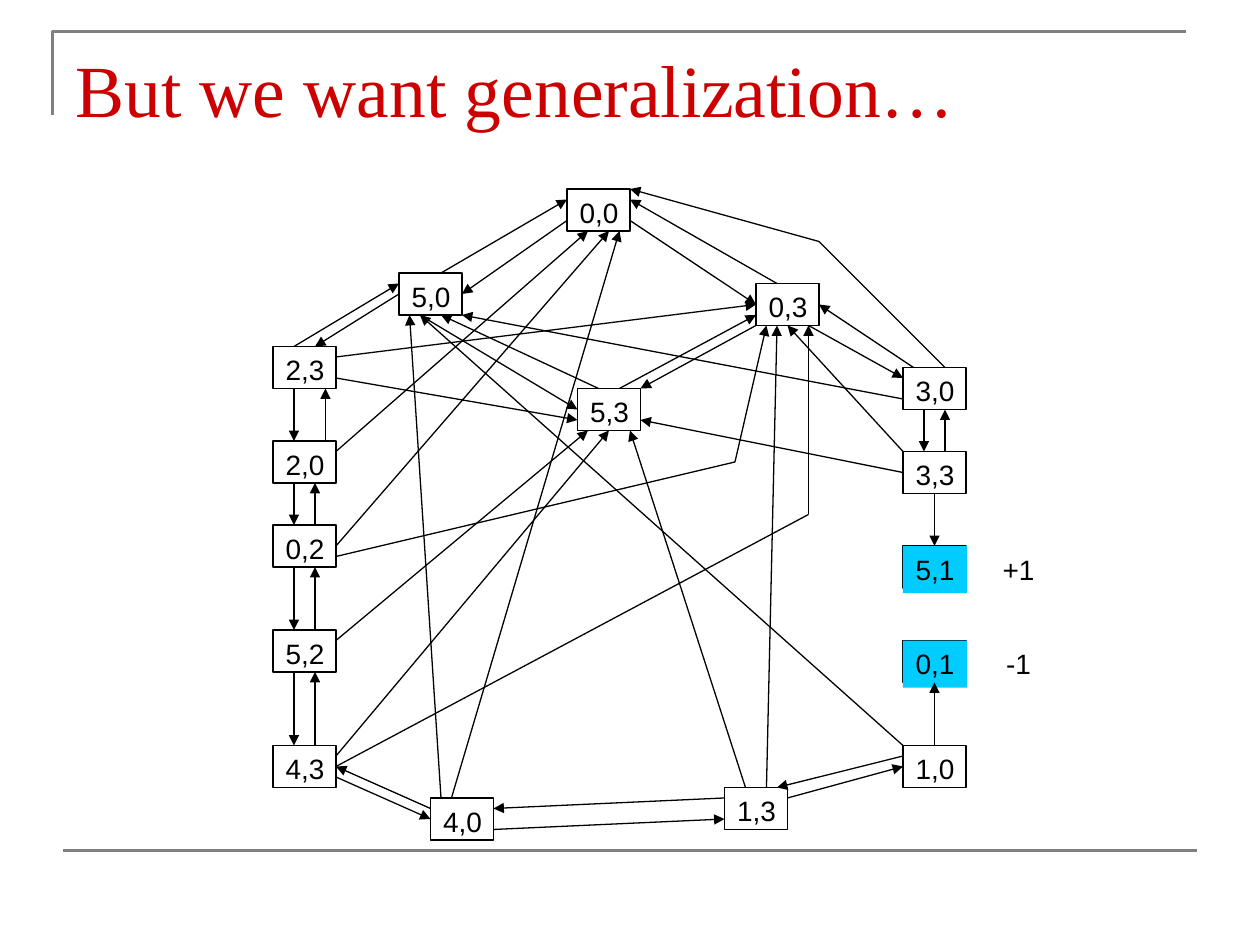
from pptx import Presentation
from pptx.dml.color import RGBColor
from pptx.enum.shapes import MSO_CONNECTOR as Connector, MSO_SHAPE as Preset
from pptx.enum.text import PP_ALIGN as Align
from pptx.oxml.ns import qn
from pptx.util import Pt
from lxml.etree import SubElement

PX = 9525
NODE_WIDTH, NODE_HEIGHT = 48, 32
SIDE_MIDDLES = [(24, 0), (0, 16), (24, 32), (48, 16)]

STATES = {
    "0,0": (224, 0), "0,3": (368, 72), "3,0": (480, 136), "3,3": (480, 200),
    "5,1": (480, 272), "0,1": (480, 344), "1,0": (480, 424), "1,3": (344, 456),
    "4,0": (120, 464), "4,3": (0, 424), "5,2": (0, 336), "0,2": (0, 256),
    "2,0": (0, 192), "2,3": (0, 120), "5,0": (96, 64), "5,3": (232, 152),
}
FINAL_STATES = ("5,1", "0,1")
REWARDS = [("+1", 544, 272, 48), ("-1", 536, 344, 64)]

# Each move: state and offset in its box, next state and offset, optional bend.
MOVES = [
    ("0,0", (0, 24), "5,0", (48, 16)),
    ("0,0", (48, 24), "0,3", (0, 16)),
    ("0,3", (16, 0), "0,0", (48, 8)),
    ("0,3", (40, 32), "3,0", (0, 8)),
    ("3,0", (8, 0), "0,3", (48, 16)),
    ("3,0", (16, 32), "3,3", (16, 0)),
    ("3,3", (32, 0), "3,0", (32, 32)),
    ("3,3", (24, 32), "5,1", (24, 0)),
    ("5,0", (32, 0), "0,0", (0, 8)),
    ("0,3", (0, 32), "5,3", (48, 0)),
    ("3,0", (0, 24), "5,0", (48, 32)),
    ("3,0", (32, 0), "0,0", (48, 0), (416, 40)),
    ("3,3", (0, 16), "5,3", (48, 24)),
    ("3,3", (0, 0), "0,3", (24, 32)),
    ("5,3", (32, 0), "0,3", (0, 24)),
    ("5,3", (16, 0), "5,0", (32, 32)),
    ("5,0", (16, 32), "5,3", (0, 16)),
    ("5,0", (0, 16), "2,3", (32, 0)),
    ("2,3", (16, 0), "5,0", (0, 8)),
    ("2,3", (16, 32), "2,0", (16, 0)),
    ("2,3", (48, 8), "0,3", (0, 16)),
    ("2,3", (48, 24), "5,3", (0, 24)),
    ("2,0", (40, 0), "2,3", (40, 32)),
    ("2,0", (48, 8), "0,0", (16, 32)),
    ("2,0", (16, 32), "0,2", (16, 0)),
    ("0,2", (32, 0), "2,0", (32, 32)),
    ("0,2", (48, 16), "0,0", (32, 32)),
    ("0,2", (16, 32), "5,2", (16, 0)),
    ("0,2", (48, 24), "0,3", (8, 32), (352, 208)),
    ("5,2", (32, 0), "0,2", (32, 32)),
    ("5,2", (48, 8), "5,3", (8, 32)),
    ("5,2", (16, 32), "4,3", (16, 0)),
    ("4,3", (32, 0), "5,2", (32, 32)),
    ("4,3", (48, 24), "4,0", (0, 16)),
    ("4,3", (48, 8), "5,3", (24, 32)),
    ("4,3", (48, 16), "0,3", (40, 32), (408, 248)),
    ("4,0", (48, 24), "1,3", (0, 24)),
    ("4,0", (0, 8), "4,3", (48, 16)),
    ("4,0", (16, 0), "0,0", (40, 32)),
    ("4,0", (8, 0), "5,0", (8, 32)),
    ("1,3", (0, 8), "4,0", (48, 8)),
    ("1,3", (48, 8), "1,0", (0, 16)),
    ("1,3", (16, 0), "5,3", (40, 32)),
    ("1,3", (32, 0), "0,3", (16, 32)),
    ("1,0", (0, 8), "1,3", (40, 0)),
    ("1,0", (24, 0), "0,1", (24, 32)),
    ("1,0", (0, 0), "5,0", (16, 32)),
]


def color(hex_text):
    return RGBColor.from_string(hex_text)


def scaled(*lengths):
    return [length * PX for length in lengths]


def style_line(line, hex_text, points):
    line.color.rgb = color(hex_text)
    line.width = Pt(points)


def add_text(shapes, text, area, font_name, size, ink, align, wrap):
    box = shapes.add_textbox(*scaled(*area))
    frame = box.text_frame
    frame.word_wrap = wrap
    para = frame.paragraphs[0]
    para.text = text
    para.alignment = align
    para.font.name = font_name
    para.font.size = Pt(size)
    para.font.color.rgb = color(ink)
    return box


def add_label(shapes, text, left, top, width):
    return add_text(shapes, text, (left, top, width, 36), "Arial", 16,
                    "000000", Align.CENTER, False)


def add_line(page, start, end, hex_text, points, arrow=False):
    line = page.shapes.add_connector(Connector.STRAIGHT, *scaled(*start, *end))
    style_line(line.line, hex_text, points)
    properties = line._element.spPr
    if arrow:
        SubElement(properties.get_or_add_ln(), qn("a:tailEnd"), type="triangle")
    SubElement(properties, qn("a:effectLst"))
    return line


def add_state(page, name, left, top):
    group = page.shapes.add_group_shape()
    node = group.shapes.add_shape(
        Preset.RECTANGLE, *scaled(left, top, NODE_WIDTH, NODE_HEIGHT))
    node.shadow.inherit = False
    style_line(node.line, "000000", 1)
    label = add_label(group.shapes, name, left, top, NODE_WIDTH + 1)
    if name in FINAL_STATES:
        for shape, paint in ((node, "FF9933"), (label, "00CCFF")):
            shape.fill.solid()
            shape.fill.fore_color.rgb = color(paint)
    else:
        node.fill.background()
    return node


def draw_frame(page, left, top, width, height):
    builder = page.shapes.build_freeform(left, top + 64, scale=PX)
    builder.add_line_segments([(left, top), (left + width, top)], close=False)
    bracket = builder.convert_to_shape()
    bracket.shadow.inherit = False
    bracket.fill.background()
    style_line(bracket.line, "808080", 1.5)
    bottom = top + height
    add_line(page, (left + 8, bottom), (left + 8 + width, bottom), "808080", 1.5)


def draw_title(page, *area):
    add_text(page.shapes, "But we want generalization…", area,
             "Times New Roman", 42, "CC0000", Align.LEFT, True)


def draw_graph(page, left, top):
    def place(point, offset=(0, 0)):
        return left + point[0] + offset[0], top + point[1] + offset[1]

    nodes = {name: add_state(page, name, *place(spot))
             for name, spot in STATES.items()}
    for source, leave, target, arrive, *bends in MOVES:
        points = [place(STATES[source], leave), *map(place, bends),
                  place(STATES[target], arrive)]
        last = len(points) - 2
        lines = [add_line(page, points[step], points[step + 1], "000000", 0.75,
                          arrow=step == last) for step in range(last + 1)]
        if leave in SIDE_MIDDLES:
            lines[0].begin_connect(nodes[source], SIDE_MIDDLES.index(leave))
        if arrive in SIDE_MIDDLES:
            lines[-1].end_connect(nodes[target], SIDE_MIDDLES.index(arrive))
    for text, x, y, width in REWARDS:
        add_label(page.shapes, text, *place((x, y)), width)


def main():
    deck = Presentation()
    deck.slide_width, deck.slide_height = scaled(960, 720)
    page = deck.slides.add_slide(deck.slide_layouts[6])
    draw_frame(page, 40, 24, 864, 624)
    draw_title(page, 48, 29, 864, 120)
    draw_graph(page, 208, 144)
    deck.save("out.pptx")


if __name__ == "__main__":
    main()
